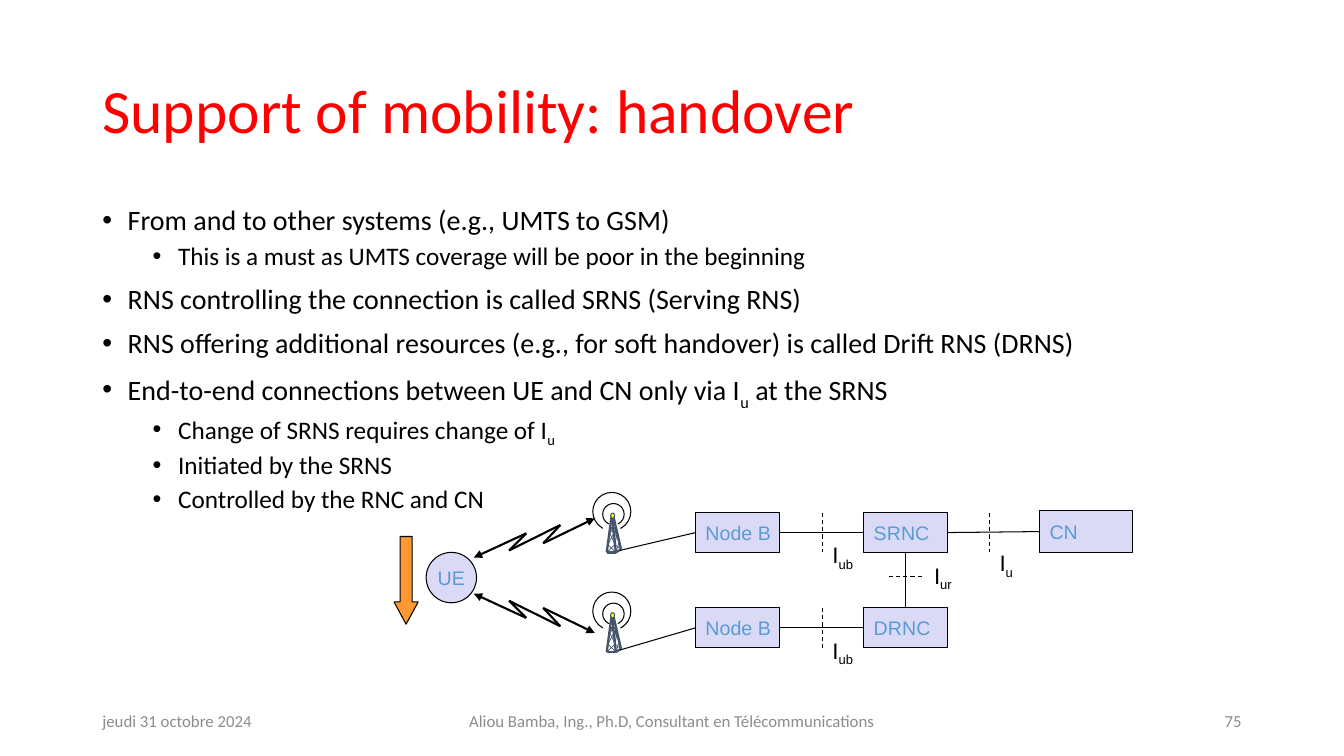
from dataclasses import dataclass
from itertools import pairwise

from lxml import etree
from pptx import Presentation
from pptx.dml.color import RGBColor
from pptx.enum import dml, shapes, text
from pptx.oxml.ns import qn
from pptx.util import Cm, Pt


@dataclass(frozen=True)
class Theme:
    body_font: str = "Calibri"
    diagram_font: str = "Arial"
    title: str = "FF0000"
    ink: str = "000000"
    muted: str = "8C8C8C"
    node_fill: str = "DADAF6"
    node_text: str = "5B9BD5"
    tower: str = "44546A"
    lamp: str = "FFFF00"
    arrow: str = "FF9933"
    title_size: int = 44
    level_sizes: tuple = (20, 18)
    footer_size: int = 12
    node_size: int = 14
    label_size: int = 16
    thin: float = 0.75
    brace: float = 0.5
    leg: float = 1.63
    radio: float = 1.5


T = Theme()
A, S = text.PP_ALIGN, shapes.MSO_SHAPE

# Text between bars is subscript.
TITLE = "Support of mobility: handover"
BULLETS = [
    (0, "From and to other systems (e.g., UMTS to GSM)"),
    (1, "This is a must as UMTS coverage will be poor in the beginning"),
    (0, "RNS controlling the connection is called SRNS (Serving RNS)"),
    (0, "RNS offering additional resources (e.g., for soft handover) is called Drift RNS (DRNS)"),
    (0, "End-to-end connections between UE and CN only via I|u| at the SRNS"),
    (1, "Change of SRNS requires change of I|u"),
    (1, "Initiated by the SRNS"),
    (1, "Controlled by the RNC and CN"),
]
FOOTERS = [
    (2.33, 7.62, A.LEFT, "jeudi 31 octobre 2024"),
    (11.22, 11.43, A.CENTER, "Aliou Bamba, Ing., Ph.D, Consultant en Télécommunications"),
    (23.92, 7.62, A.RIGHT, "75"),
]

# Diagram, in cm
ROW_TOP, ROW_STEP = 12.92, 2.4
NODE_W, NODE_H = 2.12, 1.0
NODE_B_X, RNC_X = 17.53, 21.77
RNCS = ["SRNC", "DRNC"]
UE = (10.74, 13.92, 1.27, 1.27)
CN = (26.2, 12.86, 2.35, 1.07)
DOWN_ARROW = (9.93, 13.52, 0.61, 2.21)
IUB_X, IU_X, IUR_Y = 20.73, 24.94, 14.53
LABELS = [(IUB_X, 13.52, "I|ub"), (IUB_X, 13.52 + ROW_STEP, "I|ub"),
          (23.29, 14.03, "I|ur"), (IU_X, 13.72, "I|u")]
BOLT = [(11.94, 14.05), (13.26, 13.44), (12.83, 13.87),
        (14.12, 13.23), (13.69, 13.69), (14.99, 13.06)]
BOLT_MIRROR = 29.01  # sum of the heights of the two bolts

# Antenna, in cm from the top of its mast
MAST_X, MAST_TOP, MAST_STEP = 15.42, 12.93, 2.51
FOOT = (0.2, 0.94)
BRACES = [
    [(-0.03, 0.36), (0.05, 0.36), (-0.05, 0.51), (0.08, 0.79), (-0.13, 0.99)],
    [(0.1, 0.99), (-0.1, 0.79), (0.05, 0.51), (-0.03, 0.36)],
    [(0.1, 0.99), (0.18, 0.74), (0.08, 0.51), (0.08, 0.36)],
    [(0.1, 0.36), (0.05, 0.36), (0.13, 0.48), (0.08, 0.79), (0.23, 0.91)],
]
LEGS = [
    [(0, 0.03), (-0.13, 0.99), (0.1, 0.99), (0, 0.05)],
    [(0.1, 0.99), (0.23, 0.91), (0.03, 0.05)],
]
WAVES = [(0, -0.04, 0.48, 118, 63), (0.04, 0.03, 0.27, 114, 66)]

prs = Presentation()
prs.slide_width, prs.slide_height = Cm(33.87), Cm(19.05)
slide = prs.slides.add_slide(prs.slide_layouts[6])


def rgb(colour):
    return RGBColor.from_string(colour)


def write(p, content, size, colour, font):
    for i, part in enumerate(content.split("|")):
        r = p.add_run()
        r.text = part
        r.font.size, r.font.name = Pt(size), font
        r.font.color.rgb = rgb(colour)
        if i % 2:
            r.font._element.set("baseline", "-25000")


def add_text(x, y, w, h, anchor=text.MSO_ANCHOR.MIDDLE, wrap=True):
    tf = slide.shapes.add_textbox(Cm(x), Cm(y), Cm(w), Cm(h)).text_frame
    tf.word_wrap, tf.vertical_anchor = wrap, anchor
    return tf


def add_bullet(p, level, content):
    p.level, p.line_spacing, p.space_before = level, 0.9, Pt((10, 5)[level])
    pPr = p._p.get_or_add_pPr()
    pPr.set("marL", str(Cm(0.64 + 1.27 * level)))
    pPr.set("indent", str(Cm(-0.64)))
    etree.SubElement(pPr, qn("a:buFont")).set("typeface", T.diagram_font)
    etree.SubElement(pPr, qn("a:buChar")).set("char", "•")
    write(p, content, T.level_sizes[level], T.ink, T.body_font)


def style(sp, fill=None, line=T.ink):
    sp.shadow.inherit = False
    if fill:
        sp.fill.solid()
        sp.fill.fore_color.rgb = rgb(fill)
    else:
        sp.fill.background()
    sp.line.color.rgb, sp.line.width = rgb(line), Pt(T.thin)
    return sp


def add_node(kind, x, y, w, h, name, align=A.LEFT):
    sp = style(slide.shapes.add_shape(kind, Cm(x), Cm(y), Cm(w), Cm(h)), T.node_fill)
    tf = sp.text_frame
    tf.word_wrap, tf.vertical_anchor = False, text.MSO_ANCHOR.MIDDLE
    tf.paragraphs[0].alignment = align
    write(tf.paragraphs[0], name, T.node_size, T.node_text, T.diagram_font)
    return sp


def add_line(start=(0, 0), end=(0, 0), parent=slide.shapes, colour=T.ink, width=T.thin, dashed=False):
    line = parent.add_connector(shapes.MSO_CONNECTOR.STRAIGHT, *map(Cm, (*start, *end)))
    line.line.color.rgb, line.line.width = rgb(colour), Pt(width)
    if dashed:
        line.line.dash_style = dml.MSO_LINE.DASH
    etree.SubElement(line._element.spPr, qn("a:effectLst"))
    return line


def link(a, a_site, b, b_site):
    """Glue a line to two nodes; sites are 0 top, 1 left, 2 bottom, 3 right."""
    line = add_line()
    line.begin_connect(a, a_site)
    line.end_connect(b, b_site)


def add_strokes(parent, points, colour, width):
    return [add_line(start, end, parent, colour, width) for start, end in pairwise(points)]


def add_bolt(points):
    strokes = add_strokes(slide.shapes.add_group_shape().shapes, points, T.ink, T.radio)
    for stroke, end in ((strokes[0], "a:headEnd"), (strokes[-1], "a:tailEnd")):
        etree.SubElement(stroke.line._get_or_add_ln(), qn(end)).set("type", "triangle")


def add_antenna(x, y):
    parts = slide.shapes.add_group_shape().shapes
    for width, chains in ((T.brace, BRACES), (T.leg, LEGS)):
        for chain in chains:
            add_strokes(parts, [(x + dx, y + dy) for dx, dy in chain], T.tower, width)
    style(parts.add_shape(S.OVAL, Cm(x - 0.03), Cm(y), Cm(0.1), Cm(0.13)), T.lamp, T.tower)
    for dx, dy, radius, *angles in WAVES:
        wave = style(parts.add_shape(S.ARC, Cm(x + dx - radius), Cm(y + dy - radius),
                                     Cm(2 * radius), Cm(2 * radius)))
        for i, degrees in enumerate(angles):
            wave.adjustments[i] = degrees * 0.6


title = add_text(2.33, 1.02, 29.21, 3.68).paragraphs[0]
title.line_spacing = 0.9
write(title, TITLE, T.title_size, T.title, T.body_font)

tf = add_text(2.33, 5.08, 29.21, 12.09, text.MSO_ANCHOR.TOP)
for i, (level, content) in enumerate(BULLETS):
    add_bullet(tf.add_paragraph() if i else tf.paragraphs[0], level, content)

ue = add_node(S.OVAL, *UE, "UE", A.CENTER)
cn = add_node(S.RECTANGLE, *CN, "CN")
rncs = []
for row, rnc_name in enumerate(RNCS):
    top = ROW_TOP + row * ROW_STEP
    mast_top = MAST_TOP + row * MAST_STEP
    node_b = add_node(S.RECTANGLE, NODE_B_X, top, NODE_W, NODE_H, "Node B")
    rncs.append(add_node(S.RECTANGLE, RNC_X, top, NODE_W, NODE_H, rnc_name))
    link(node_b, 3, rncs[row], 1)
    add_line((IUB_X, top), (IUB_X, top + NODE_H), dashed=True)
    add_antenna(MAST_X, mast_top)
    add_line((MAST_X + FOOT[0], mast_top + FOOT[1])).end_connect(node_b, 1)
    add_bolt([(x, BOLT_MIRROR - y if row else y) for x, y in BOLT])
link(rncs[0], 2, rncs[1], 0)
link(rncs[0], 3, cn, 1)
add_line((IU_X, ROW_TOP), (IU_X, ROW_TOP + NODE_H), dashed=True)
add_line((22.4, IUR_Y), (23.24, IUR_Y), dashed=True)

for x, y, label in LABELS:
    tf = add_text(x, y, 1.05, 0.94, text.MSO_ANCHOR.TOP, wrap=False)
    tf.auto_size = text.MSO_AUTO_SIZE.SHAPE_TO_FIT_TEXT
    write(tf.paragraphs[0], label, T.label_size, T.ink, T.diagram_font)

arrow = style(slide.shapes.add_shape(S.DOWN_ARROW, *map(Cm, DOWN_ARROW)), T.arrow)
arrow.adjustments[0], arrow.adjustments[1] = 0.5, 0.92

for x, w, align, content in FOOTERS:
    p = add_text(x, 17.66, w, 1.01).paragraphs[0]
    p.alignment = align
    write(p, content, T.footer_size, T.muted, T.body_font)

prs.save("out.pptx")
